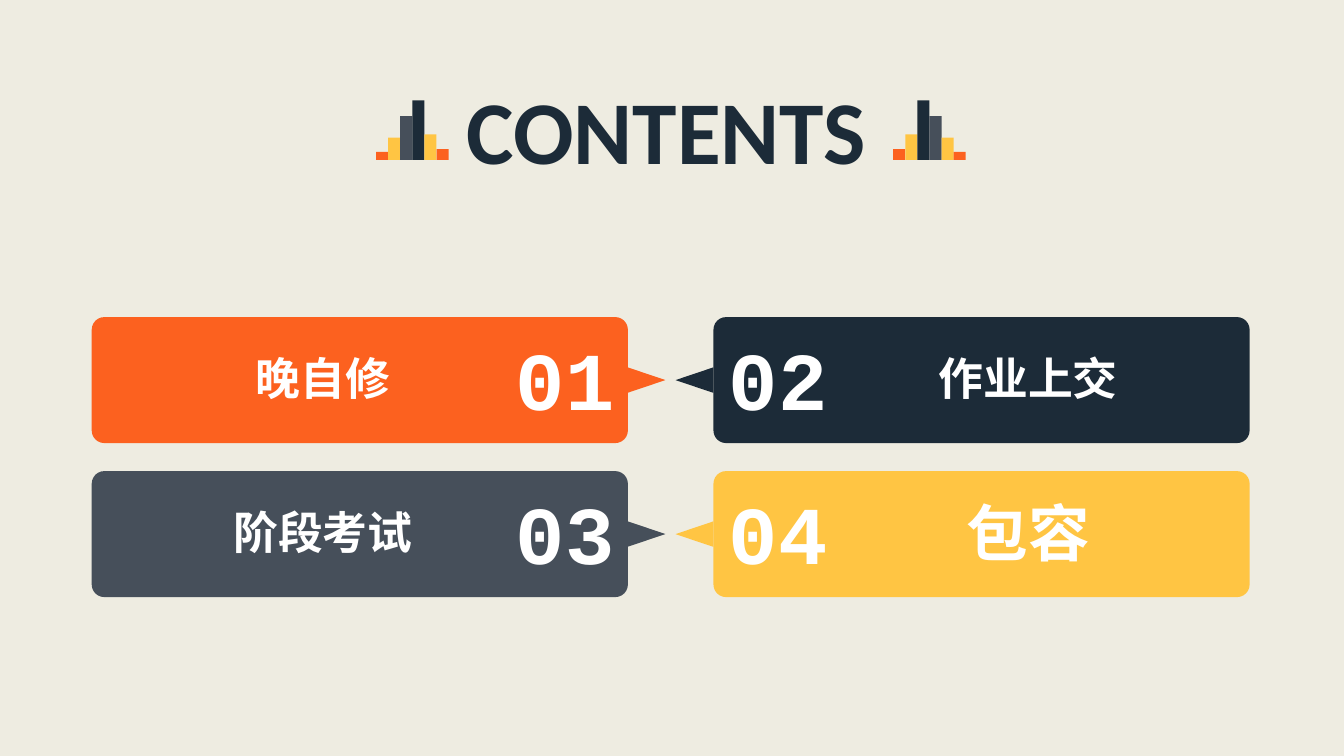
from pptx import Presentation
from pptx.dml.color import RGBColor
from pptx.enum.shapes import MSO_SHAPE as Shape
from pptx.enum.text import MSO_AUTO_SIZE as AutoSize, PP_ALIGN as Align
from pptx.util import Pt

CREAM = RGBColor(0xEE, 0xEC, 0xE1)
ORANGE = RGBColor(0xFC, 0x61, 0x1F)
NAVY = RGBColor(0x1C, 0x2B, 0x38)
SLATE = RGBColor(0x46, 0x4F, 0x5A)
YELLOW = RGBColor(0xFF, 0xC5, 0x43)
WHITE = RGBColor(0xFF, 0xFF, 0xFF)

deck = Presentation()
deck.slide_width, deck.slide_height = Pt(960), Pt(540)
page = deck.slides.add_slide(deck.slide_layouts[6])
page.background.fill.solid()
page.background.fill.fore_color.rgb = CREAM


def add_block(kind, left, top, width, height, color):
    block = page.shapes.add_shape(kind, Pt(left), Pt(top), Pt(width), Pt(height))
    block.shadow.inherit = False
    block.fill.solid()
    block.fill.fore_color.rgb = color
    block.line.fill.background()
    return block


def add_text(text, left, top, width, height, size, color, font="Calibri",
             align=Align.CENTER, wrap=False):
    box = page.shapes.add_textbox(Pt(left), Pt(top), Pt(width), Pt(height))
    frame = box.text_frame
    frame.word_wrap = wrap
    frame.auto_size = AutoSize.SHAPE_TO_FIT_TEXT
    para = frame.paragraphs[0]
    para.alignment = align
    span = para.add_run()
    span.text = text
    span.font.name = font
    span.font.size = Pt(size)
    span.font.bold = True
    span.font.color.rgb = color


# Title between two mirrored bar icons
add_text("CONTENTS", 326.2, 49.7, 303, 85, 64, NAVY, align=Align.LEFT)
BAR_WIDTH, BAR_BOTTOM = 8.64, 114.2
BARS = [(5.8, ORANGE), (15.8, YELLOW), (31.2, SLATE),
        (42.5, NAVY), (18.2, YELLOW), (7.6, ORANGE)]
for icon_left, bars in ((268.6, BARS), (638, BARS[::-1])):
    for index, (height, color) in enumerate(bars):
        add_block(Shape.RECTANGLE, icon_left + index * BAR_WIDTH,
                  BAR_BOTTOM - height, BAR_WIDTH, height, color)

# Four cards, two per row, with pointers facing the middle
CARD_WIDTH, CARD_HEIGHT, ROW_STEP = 383, 90, 110
POINTER_WIDTH, POINTER_HEIGHT = 18.2, 27
# card left, pointer centre, pointer rotation, number left, number width, label centre
COLUMNS = [(65.5, 461.8, 90, 359.3, 88.6, 230.8),
           (509.6, 496, 270, 510.5, 90.7, 734.4)]
CARDS = [("晚自修", 32, ORANGE), ("作业上交", 32, NAVY),
         ("阶段考试", 32, SLATE), ("包容", 44, YELLOW)]
for index, (label, size, color) in enumerate(CARDS):
    row, column = divmod(index, 2)
    (card_left, pointer_x, rotation,
     number_left, number_width, label_x) = COLUMNS[column]
    top = 226.5 + row * ROW_STEP
    middle = top + CARD_HEIGHT / 2

    card = add_block(Shape.ROUNDED_RECTANGLE, card_left, top,
                     CARD_WIDTH, CARD_HEIGHT, color)
    card.adjustments[0] = 0.1
    pointer = add_block(Shape.ISOSCELES_TRIANGLE, pointer_x - POINTER_WIDTH / 2,
                        middle - POINTER_HEIGHT / 2, POINTER_WIDTH,
                        POINTER_HEIGHT, color)
    pointer.rotation = rotation

    add_text(f"{index + 1:02}", number_left, top + 4.8, number_width, 78.5,
             58.7, WHITE, font="Courier New", wrap=True)
    label_width = len(label) * size + 14.4
    label_height = size * 1.2 + 7.2
    add_text(label, label_x - label_width / 2, middle - 1.5 - label_height / 2,
             label_width, label_height, size, WHITE)

deck.save("out.pptx")
